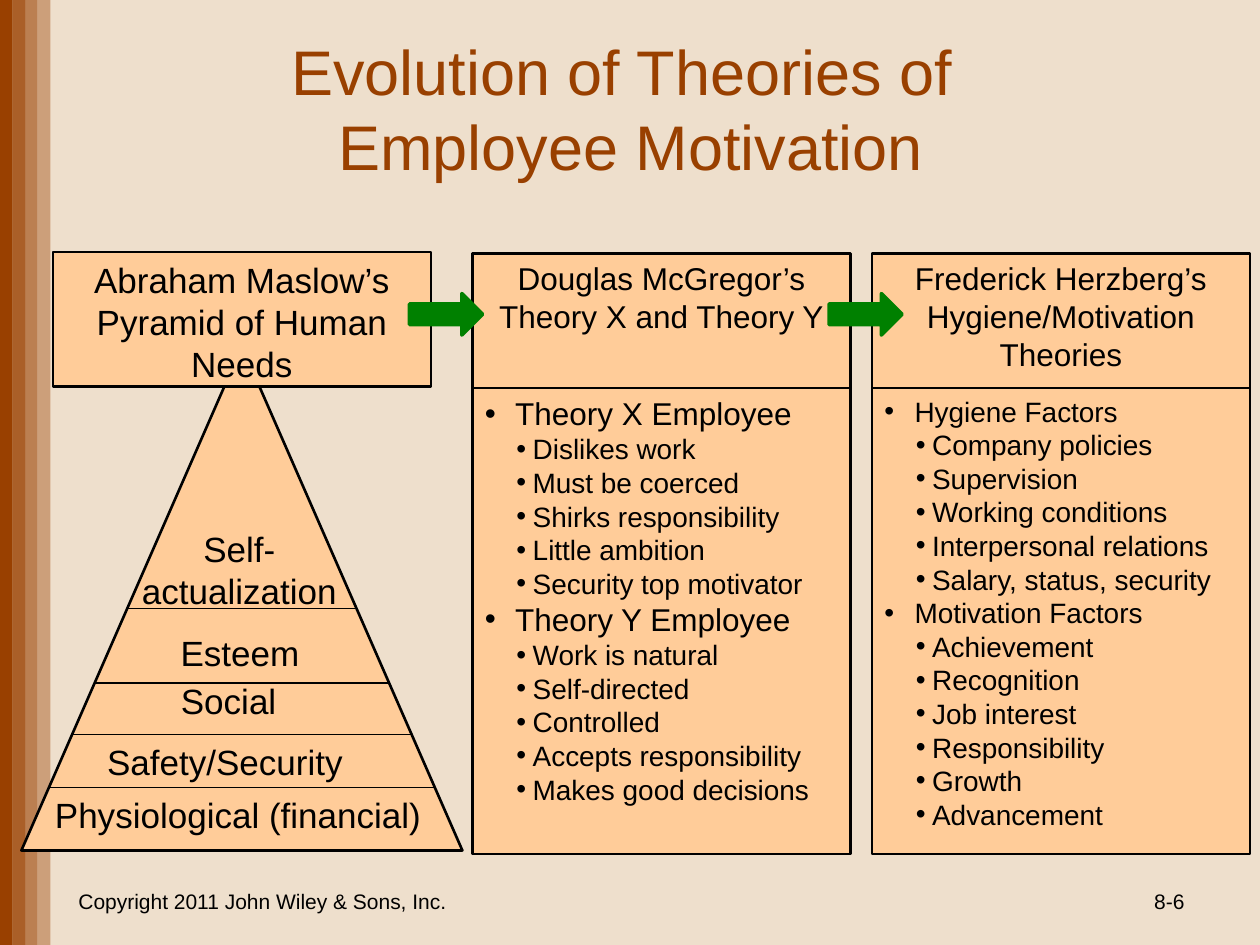
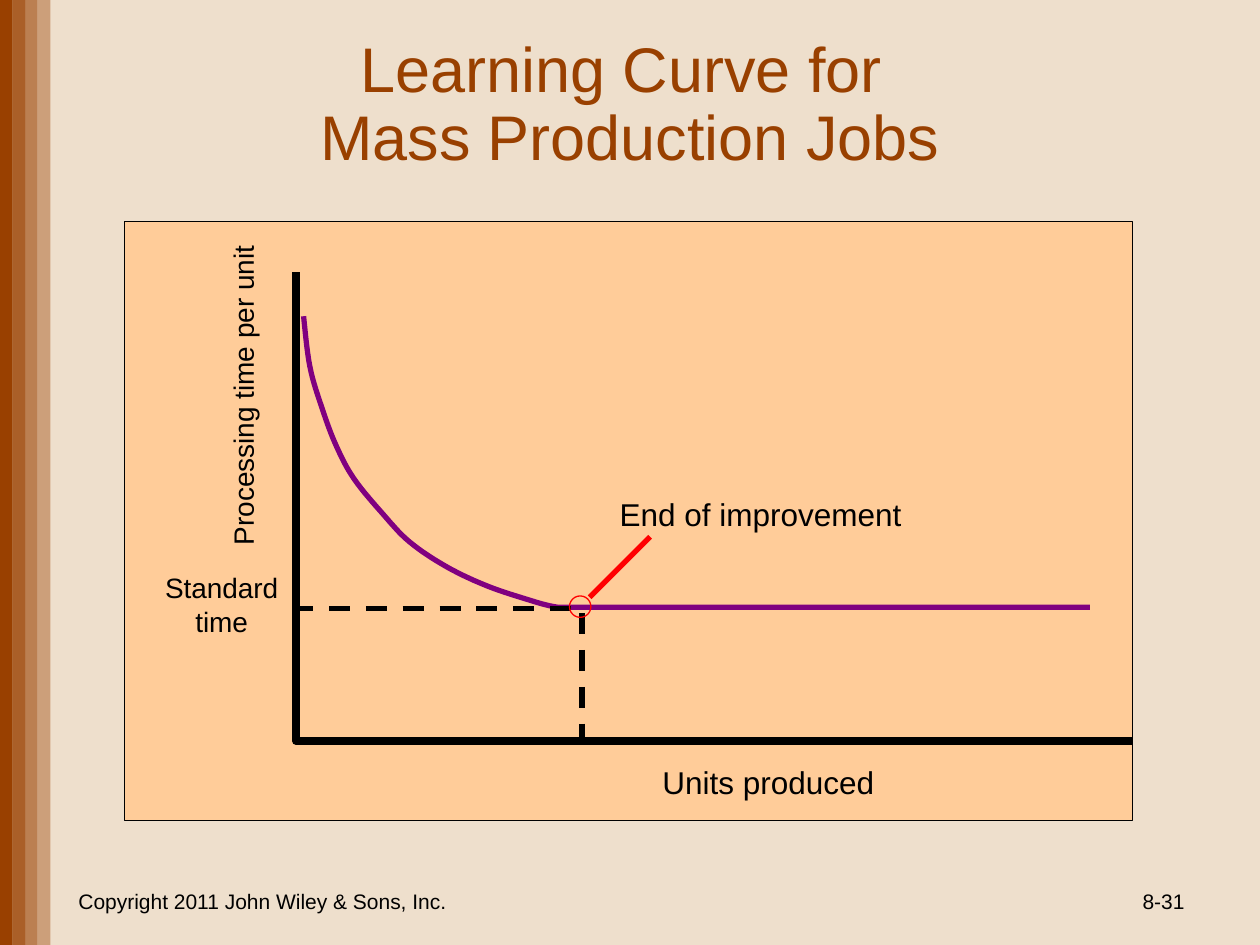
from dataclasses import dataclass

from lxml import etree
from pptx import Presentation
from pptx.dml.color import RGBColor
from pptx.enum.dml import MSO_LINE
from pptx.enum.shapes import MSO_CONNECTOR, MSO_SHAPE
from pptx.enum.text import MSO_ANCHOR, PP_ALIGN
from pptx.oxml.ns import qn
from pptx.util import Inches, Pt

LEFT, CENTER, RIGHT = PP_ALIGN.LEFT, PP_ALIGN.CENTER, PP_ALIGN.RIGHT
TOP, MIDDLE = MSO_ANCHOR.TOP, MSO_ANCHOR.MIDDLE
RECTANGLE, TRIANGLE = MSO_SHAPE.RECTANGLE, MSO_SHAPE.ISOSCELES_TRIANGLE
OVAL, RIGHT_ARROW = MSO_SHAPE.OVAL, MSO_SHAPE.RIGHT_ARROW
STRAIGHT, DASH = MSO_CONNECTOR.STRAIGHT, MSO_LINE.DASH


@dataclass(frozen=True)
class Theme:
    font: str = "Arial"
    background: str = "EEDFCC"
    brand: str = "994000"
    panel: str = "FFCC99"
    ink: str = "000000"
    arrow: str = "008000"
    curve: str = "800080"
    marker: str = "FF0000"
    title: int = 36
    large: int = 20
    medium: int = 18
    small: int = 16
    footer: int = 12


THEME = Theme()

PYRAMID = (0.17, 2.75, 3.5, 4)
PYRAMID_DIVIDERS = (4.83, 5.42, 5.83, 6.25)
PYRAMID_LEVELS = [
    ("Self-\nactualization", (1.02, 4.14, 1.76, 0.77)),
    ("Esteem", (1.33, 4.96, 1.15, 0.44)),
    ("Social", (1.33, 5.34, 0.97, 0.44)),
    ("Safety/Security", (0.74, 5.83, 2.09, 0.44)),
    ("Physiological (financial)", (0.32, 6.25, 3.14, 0.44)),
]
MCGREGOR = [
    ("Theory X Employee", ["Dislikes work", "Must be coerced", "Shirks responsibility",
                           "Little ambition", "Security top motivator"]),
    ("Theory Y Employee", ["Work is natural", "Self-directed", "Controlled",
                           "Accepts responsibility", "Makes good decisions"]),
]
HERZBERG = [
    ("Hygiene Factors", ["Company policies", "Supervision", "Working conditions",
                         "Interpersonal relations", "Salary, status, security"]),
    ("Motivation Factors", ["Achievement", "Recognition", "Job interest",
                            "Responsibility", "Growth", "Advancement"]),
]
LEARNING_CURVE = [
    (2.41, 2.51), (2.46, 2.91), (2.56, 3.25), (2.67, 3.54), (2.81, 3.8), (3.04, 4.08),
    (3.25, 4.3), (3.53, 4.49), (3.84, 4.64), (4.16, 4.75), (4.43, 4.82), (8.65, 4.82),
]


def rgb(color):
    return RGBColor.from_string(color)


def inches(values):
    return [Inches(value) for value in values]


def set_line(line, color, width):
    line.color.rgb = rgb(color)
    line.width = Pt(width)


def set_font(paragraph, size, color=THEME.ink):
    for run in paragraph.runs:
        run.font.name = THEME.font
        run.font.size = Pt(size)
        run.font.color.rgb = rgb(color)


def write(shape, text, size, color=THEME.ink, align=CENTER, anchor=TOP, wrap=True, spacing=1.0):
    frame = shape.text_frame
    frame.word_wrap = wrap
    frame.vertical_anchor = anchor
    frame.text = text
    for paragraph in frame.paragraphs:
        paragraph.alignment = align
        paragraph.line_spacing = spacing
        set_font(paragraph, size, color)


def add_label(slide, text, box, size, **style):
    label = slide.shapes.add_textbox(*inches(box))
    write(label, text, size, **style)
    return label


def add_figure(slide, kind, box, fill=None, line=None, width=1.5):
    """Add a preset shape; a missing fill or line colour leaves that part out."""
    figure = slide.shapes.add_shape(kind, *inches(box))
    figure.shadow.inherit = False
    if fill:
        figure.fill.solid()
        figure.fill.fore_color.rgb = rgb(fill)
    else:
        figure.fill.background()
    if line:
        set_line(figure.line, line, width)
    else:
        figure.line.fill.background()
    return figure


def add_line(slide, start, end, color, width):
    line = slide.shapes.add_connector(STRAIGHT, *inches(start + end))
    set_line(line.line, color, width)
    etree.SubElement(line._element.spPr, qn("a:effectLst"))


def add_path(slide, points, color, width, dash=None):
    corners = [inches(point) for point in points]
    builder = slide.shapes.build_freeform(*corners[0])
    builder.add_line_segments(corners[1:], close=False)
    path = builder.convert_to_shape()
    path.shadow.inherit = False
    path.fill.background()
    set_line(path.line, color, width)
    if dash:
        path.line.dash_style = dash


def smooth(points, steps=8):
    """Return points along a Catmull-Rom curve, with the last span kept straight."""
    result = []
    for i in range(len(points) - 2):
        quad = (points[max(i - 1, 0)], points[i], points[i + 1], points[i + 2])
        if i == len(points) - 3:
            quad = quad[:3] + ((2 * quad[2][0] - quad[1][0], quad[2][1]),)
        for step in range(steps):
            t = step / steps
            result.append(tuple(
                (2 * b + (c - a) * t + (2 * a - 5 * b + 4 * c - d) * t ** 2
                 + (3 * b - a - 3 * c + d) * t ** 3) / 2
                for a, b, c, d in zip(*quad)))
    return result + points[-2:]


def add_bullet(paragraph, text, size, margin, hanging):
    paragraph.text = text
    paragraph.alignment = LEFT
    properties = paragraph._p.get_or_add_pPr()
    properties.set("marL", str(Inches(margin)))
    properties.set("indent", str(-Inches(hanging)))
    etree.SubElement(properties, qn("a:buFont"), typeface=THEME.font)
    etree.SubElement(properties, qn("a:buChar"), char="•")
    set_font(paragraph, size)


def add_theory(slide, left, heading, groups, group_size):
    """Add a heading panel above a panel of bulleted groups."""
    head = add_figure(slide, RECTANGLE, (left, 2.01, 3, 1.07), THEME.panel, THEME.ink)
    write(head, heading, THEME.medium)
    body = add_figure(slide, RECTANGLE, (left, 3.08, 3, 3.7), THEME.panel, THEME.ink)
    frame = body.text_frame
    frame.word_wrap = True
    frame.vertical_anchor = TOP
    paragraph = frame.paragraphs[0]
    for index, (group, items) in enumerate(groups):
        if index:
            paragraph = frame.add_paragraph()
        add_bullet(paragraph, group, group_size, 0.24, 0.24)
        for item in items:
            add_bullet(frame.add_paragraph(), item, THEME.small, 0.38, 0.13)


def add_pyramid(slide):
    left, top, width, height = PYRAMID
    apex = left + width / 2
    add_figure(slide, TRIANGLE, PYRAMID, THEME.panel, THEME.ink)
    for y in PYRAMID_DIVIDERS:
        reach = width / 2 * (y - top) / height
        add_line(slide, (apex - reach, y), (apex + reach, y), THEME.ink, 0.75)
    for level, box in PYRAMID_LEVELS:
        add_label(slide, level, box, THEME.large, wrap=False)
    head = add_figure(slide, RECTANGLE, (0.42, 2, 3, 1.07), THEME.panel, THEME.ink)
    write(head, "Abraham Maslow’s Pyramid of Human Needs", THEME.large)


def start_slide(prs, title, title_box, number, spacing=1.0):
    """Add a slide with background, side bands, title and footer."""
    slide = prs.slides.add_slide(prs.slide_layouts[6])
    slide.background.fill.solid()
    slide.background.fill.fore_color.rgb = rgb(THEME.background)
    for index, opacity in enumerate((100, 80, 60, 40)):
        band = add_figure(slide, RECTANGLE, (index * 0.1, 0, 0.1, 7.5), THEME.brand)
        color = band._element.spPr.find(".//" + qn("a:srgbClr"))
        etree.SubElement(color, qn("a:alpha"), val=str(opacity * 1000))
    add_label(slide, title, title_box, THEME.title, color=THEME.brand,
              anchor=MIDDLE, spacing=spacing)
    add_label(slide, "Copyright 2011 John Wiley & Sons, Inc.", (0.5, 6.95, 3.17, 0.4),
              THEME.footer, anchor=MIDDLE)
    add_label(slide, number, (7.17, 6.95, 2.33, 0.4), THEME.footer,
              align=RIGHT, anchor=MIDDLE)
    return slide


def build_motivation_slide(prs):
    slide = start_slide(prs, "Evolution of Theories of \vEmployee Motivation",
                        (1.34, 0.23, 7.33, 1.25), "8-6")
    add_pyramid(slide)
    add_theory(slide, 3.75, "Douglas McGregor’s\nTheory X and Theory Y",
               MCGREGOR, THEME.medium)
    add_theory(slide, 6.92, "Frederick Herzberg’s\nHygiene/Motivation\nTheories",
               HERZBERG, THEME.small)
    for left in (3.25, 6.58):
        add_figure(slide, RIGHT_ARROW, (left, 2.33, 0.58, 0.33), THEME.arrow, THEME.arrow, 2)


def build_learning_curve_slide(prs):
    slide = start_slide(prs, "Learning Curve for \vMass Production Jobs",
                        (0.5, 0.22, 9, 1.25), "8-31", spacing=0.9)
    add_figure(slide, RECTANGLE, (0.99, 1.76, 8, 4.75), THEME.panel, THEME.ink, 0.75)
    add_label(slide, "Standard time", (1.18, 4.48, 1.16, 0.63), THEME.small)
    add_label(slide, "End of improvement", (4.82, 3.88, 2.46, 0.4), THEME.medium,
              align=LEFT, wrap=False)
    add_label(slide, "Units produced", (5.16, 6.01, 1.9, 0.4), THEME.medium,
              align=LEFT, wrap=False)
    time_axis = add_label(slide, "Processing time per unit", (0.56, 2.87, 2.74, 0.37),
                          THEME.small, align=LEFT)
    time_axis.rotation = 270
    add_path(slide, [(2.35, 2.16), (2.35, 5.88), (8.99, 5.88)], THEME.ink, 4.5)
    add_path(slide, smooth(LEARNING_CURVE), THEME.curve, 3)
    add_path(slide, [(2.32, 4.83), (4.62, 4.83), (4.62, 5.87)], THEME.ink, 3, DASH)
    add_figure(slide, OVAL, (4.52, 4.73, 0.17, 0.17), line=THEME.marker, width=0.75)
    add_line(slide, (5.16, 4.26), (4.68, 4.74), THEME.marker, 3)


def main():
    prs = Presentation()
    prs.slide_width, prs.slide_height = Inches(10), Inches(7.5)
    build_motivation_slide(prs)
    build_learning_curve_slide(prs)
    prs.save("out.pptx")


if __name__ == "__main__":
    main()
